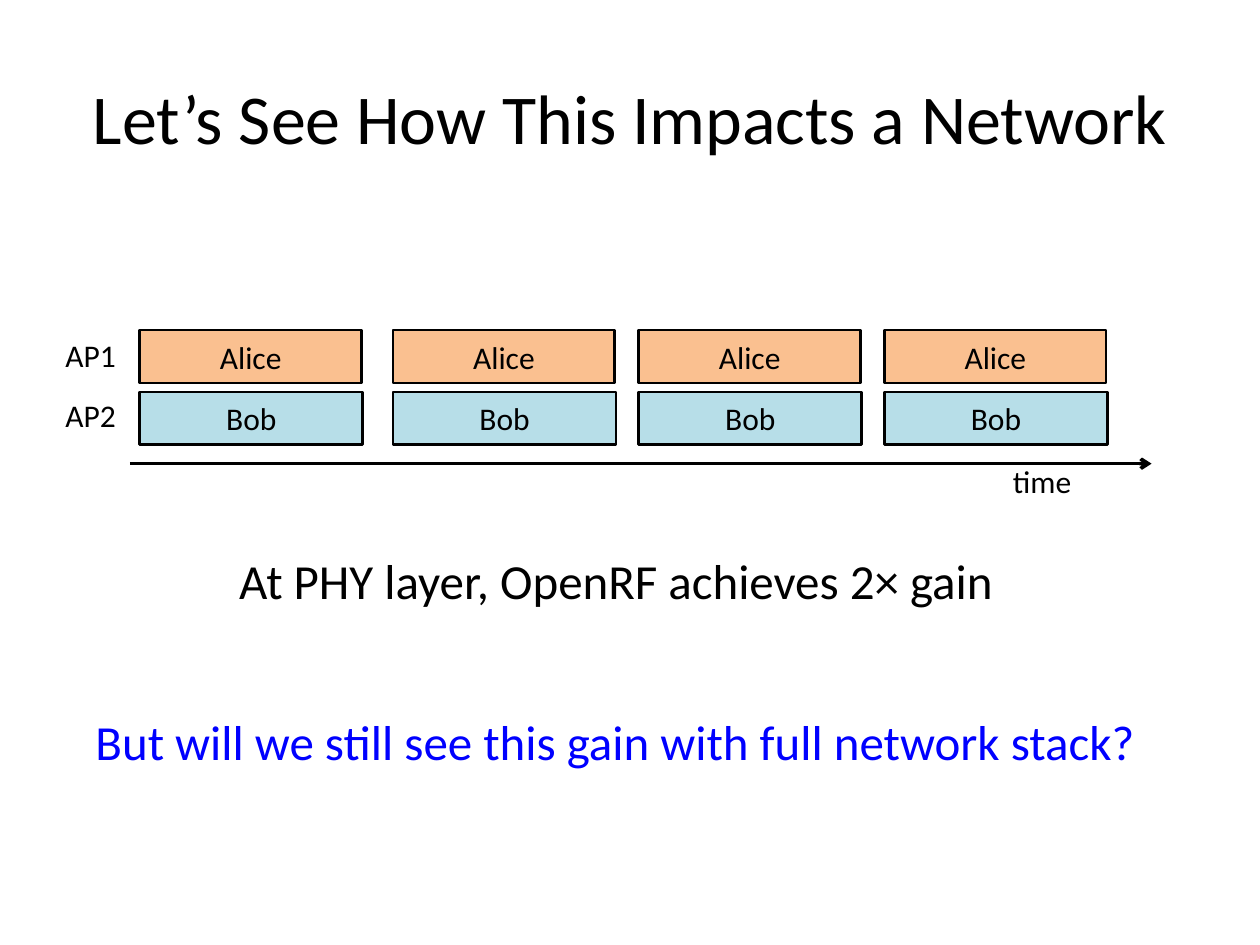
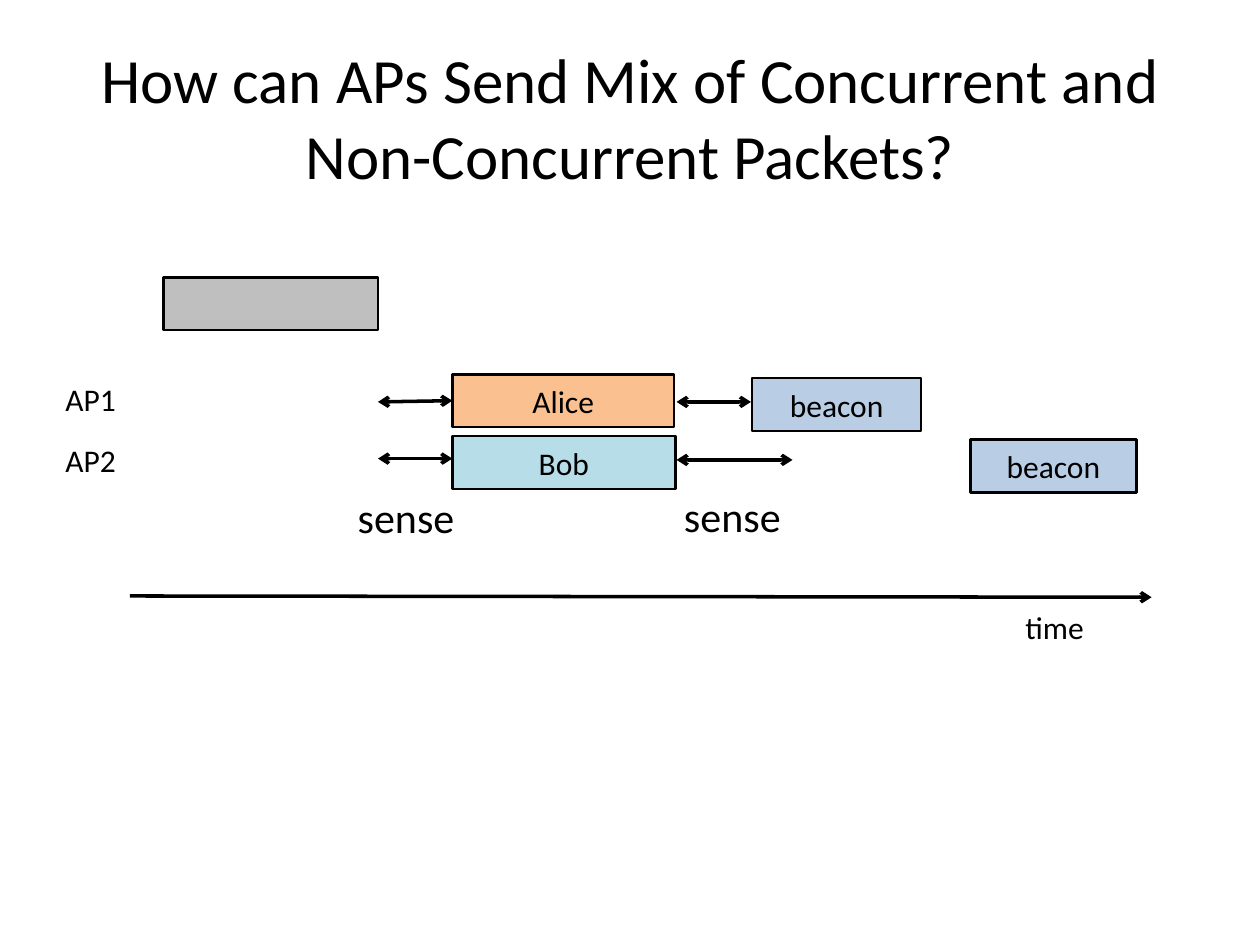
"""Build two slides on how access points share airtime."""
from pptx import Presentation
from pptx.dml.color import RGBColor
from pptx.enum.shapes import MSO_CONNECTOR as LINE, MSO_SHAPE as SHAPE
from pptx.enum.text import MSO_ANCHOR as ANCHOR, MSO_AUTO_SIZE as FIT, PP_ALIGN as ALIGN
from pptx.oxml.ns import qn
from pptx.util import Pt
from lxml.etree import SubElement

PX = 9144
FONT = "Calibri"
COLOURS = {"ink": "000000", "question": "0000FF", "alice": "FAC090",
           "bob": "B7DEE8", "busy": "BFBFBF", "beacon": "B9CDE5"}


def add_box(page, text, bounds, fill=None, size=18, colour="ink", wrap=True):
    """Add a filled, outlined block, or a plain label when there is no fill."""
    place = [value * PX for value in bounds]
    if fill:
        box = page.shapes.add_shape(SHAPE.RECTANGLE, *place)
        box.shadow.inherit = False
        box.fill.solid()
        box.fill.fore_color.rgb = RGBColor.from_string(COLOURS[fill])
        box.line.color.rgb = RGBColor.from_string(COLOURS["ink"])
        box.line.width = Pt(1.5)
    else:
        box = page.shapes.add_textbox(*place)
    frame = box.text_frame
    frame.word_wrap = wrap
    frame.vertical_anchor = ANCHOR.MIDDLE if fill else ANCHOR.TOP
    para = frame.paragraphs[0]
    para.alignment = ALIGN.CENTER if fill else ALIGN.LEFT
    if text:
        span = para.add_run()
        span.text = text
        span.font.name = FONT
        span.font.size = Pt(size)
        span.font.color.rgb = RGBColor.from_string(COLOURS[colour])
    return box


def add_arrow(page, ends, both=False):
    """Add a straight arrow, with a head at one end or at both."""
    arrow = page.shapes.add_connector(LINE.STRAIGHT, *[value * PX for value in ends])
    arrow.line.color.rgb = RGBColor.from_string(COLOURS["ink"])
    arrow.line.width = Pt(2)
    outline = arrow.line._get_or_add_ln()
    for tip in ("a:headEnd", "a:tailEnd") if both else ("a:tailEnd",):
        SubElement(outline, qn(tip), type="arrow")
    SubElement(arrow._element.spPr, qn("a:effectLst"))
    return arrow


deck = Presentation()
deck.slide_width = 1000 * PX
deck.slide_height = 750 * PX

pages = []
for heading, size, ap_tops, axis, time_place in (
    ("Let’s See How This Impacts a Network", 40, (262, 309),
     (103, 368, 914, 368), (794, 362)),
    ("How can APs Send Mix of Concurrent and Non-Concurrent Packets?", 36, (297, 345),
     (103, 473, 914, 474), (804, 478)),
):
    page = deck.slides.add_slide(deck.slide_layouts[5])
    title = page.shapes.title
    title.left, title.top, title.width, title.height = (
        value * PX for value in (50, 30, 900, 125))
    title.text_frame.auto_size = FIT.NONE
    title.text_frame.vertical_anchor = ANCHOR.MIDDLE
    para = title.text_frame.paragraphs[0]
    para.alignment = ALIGN.CENTER
    span = para.add_run()
    span.text = heading
    span.font.name = FONT
    span.font.size = Pt(size)
    span.font.color.rgb = RGBColor.from_string(COLOURS["ink"])
    add_arrow(page, axis)
    add_box(page, "time", (*time_place, 101, 40))
    for name, top in zip(("AP1", "AP2"), ap_tops):
        add_box(page, name, (42, top, 61, 40), wrap=False)
    pages.append(page)
gain_page, mix_page = pages

for left in (111, 312, 507, 702):
    add_box(gain_page, "Alice", (left, 262, 176, 42), "alice")
    add_box(gain_page, "Bob", (left, 311, 177, 42), "bob")
add_box(gain_page, "At PHY layer, OpenRF achieves 2× gain", (180, 432, 675, 57), size=28)
add_box(gain_page, "But will we still see this gain with full network stack?",
        (66, 560, 884, 57), size=28, colour="question", wrap=False)

add_box(mix_page, "", (130, 220, 170, 42), "busy")
alice = add_box(mix_page, "Alice", (359, 297, 176, 42), "alice")
add_box(mix_page, "Bob", (359, 346, 177, 42), "bob")
add_box(mix_page, "beacon", (597, 300, 134, 42), "beacon")
add_box(mix_page, "beacon", (770, 349, 132, 42), "beacon")
for left, top in ((274, 385), (533, 384)):
    add_box(mix_page, "sense", (left, top, 98, 50), size=24, wrap=False)
add_arrow(mix_page, (300, 319, 359, 318), both=True).end_connect(alice, 1)
for start, end, height in ((300, 359, 364), (537, 596, 319), (537, 629, 365)):
    add_arrow(mix_page, (start, height, end, height), both=True)

deck.save("out.pptx")
